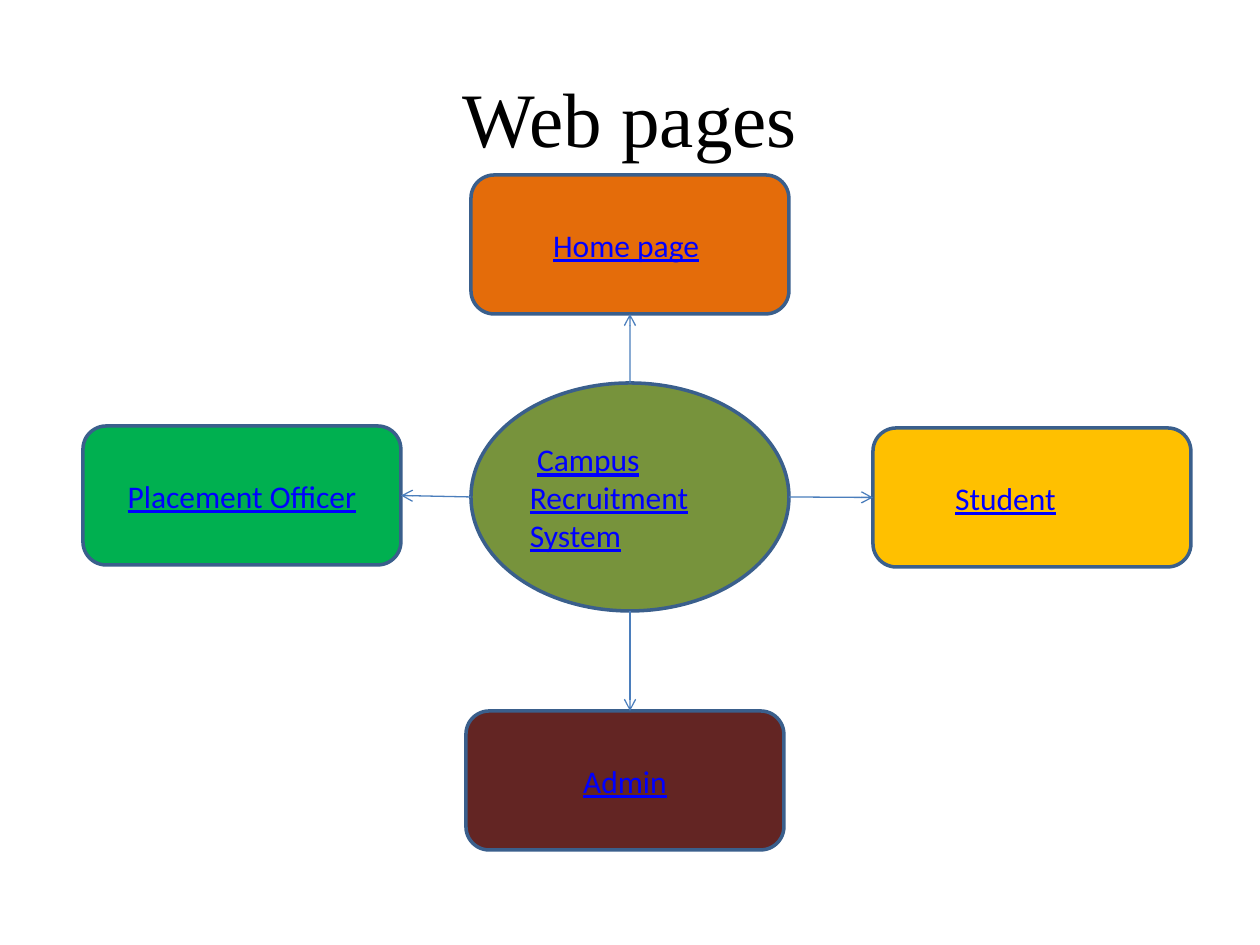
from lxml.etree import SubElement
from pptx import Presentation
from pptx.dml.color import RGBColor
from pptx.enum.shapes import MSO_CONNECTOR, MSO_SHAPE
from pptx.enum.text import MSO_ANCHOR, PP_ALIGN
from pptx.oxml.ns import qn
from pptx.util import Emu, Pt

EMU_PER_PX = 914400 / 126
BOX_WIDTH, BOX_HEIGHT = 318, 139
TOP, LEFT, BOTTOM = 0, 1, 2
RIGHT = 3


def px(length):
    return Emu(round(length * EMU_PER_PX))


def rgb(color):
    return RGBColor.from_string(color)


class PageMap:
    """Style of the page map and the slide it is drawn on."""
    title_font, node_font = "Times New Roman", "Calibri"
    title_color, link_color, space_color = "000000", "0000FF", "FFFFFF"
    outline, arrow_color = "3A5F8C", "4B7EBC"

    def __init__(self, slide):
        self.slide = slide

    def set_font(self, font, name, size, color):
        font.name, font.size = name, Pt(size)
        font.color.rgb = rgb(color)

    def title(self, text, left, top, width, height):
        title = self.slide.shapes.title
        title.left, title.top = px(left), px(top)
        title.width, title.height = px(width), px(height)
        title.text_frame.text = text
        title.text_frame.vertical_anchor = MSO_ANCHOR.MIDDLE
        heading = title.text_frame.paragraphs[0]
        heading.alignment = PP_ALIGN.CENTER
        self.set_font(heading.font, self.title_font, 44, self.title_color)

    def node(self, kind, label, fill, left, top, width, height, align, level=0):
        """Add a filled shape with a link-styled label; a leading space stays plain."""
        node = self.slide.shapes.add_shape(
            kind, px(left), px(top), px(width), px(height))
        node.shadow.inherit = False
        node.fill.solid()
        node.fill.fore_color.rgb = rgb(fill)
        node.line.color.rgb = rgb(self.outline)
        node.line.width = Pt(2)
        node.text_frame.word_wrap = True
        node.text_frame.vertical_anchor = MSO_ANCHOR.MIDDLE
        paragraph = node.text_frame.paragraphs[0]
        paragraph.alignment, paragraph.level = align, level
        self.set_font(paragraph.font, self.node_font, 18, self.link_color)
        paragraph.font.underline = True
        if label.startswith(" "):
            space = paragraph.add_run()
            space.text = " "
            space.font.underline = False
            space.font.color.rgb = rgb(self.space_color)
        link = paragraph.add_run()
        link.text = label.lstrip()
        link.font.underline = True
        link.font.color.rgb = rgb(self.link_color)
        return node

    def box(self, label, fill, left, top, align=PP_ALIGN.CENTER, level=0):
        return self.node(MSO_SHAPE.ROUNDED_RECTANGLE, label, fill, left, top,
                         BOX_WIDTH, BOX_HEIGHT, align, level)

    def arrow(self, start, end, target=None, side=TOP):
        """Draw an arrow, joined to the middle of a side when a target is given."""
        arrow = self.slide.shapes.add_connector(
            MSO_CONNECTOR.STRAIGHT, *map(px, start + end))
        if target is not None:
            arrow.end_connect(target, side)
        arrow.line.color.rgb = rgb(self.arrow_color)
        arrow.line.width = Pt(0.75)
        SubElement(arrow.line._get_or_add_ln(), qn("a:tailEnd"), type="arrow")
        SubElement(arrow._element.spPr, qn("a:effectLst"))


def main():
    deck = Presentation()
    deck.slide_width, deck.slide_height = px(1260), px(945)
    page_map = PageMap(deck.slides.add_slide(deck.slide_layouts[5]))

    page_map.title("Web pages", 63, 38, 1134, 158)
    page_map.node(MSO_SHAPE.OVAL, " Campus Recruitment System", "77933C",
                  471, 383, BOX_WIDTH, 228, PP_ALIGN.LEFT)
    home = page_map.box("Home page", "E46C0A", 471, 175, PP_ALIGN.LEFT, 1)
    officer = page_map.box("Placement Officer", "00B050", 83, 426)
    page_map.box("Admin", "632523", 466, 711)
    student = page_map.box("Student", "FFC000", 873, 428, PP_ALIGN.LEFT, 1)

    page_map.arrow((630, 383), (630, 314), home, BOTTOM)
    page_map.arrow((789, 497), (873, 497), student, LEFT)
    page_map.arrow((630, 611), (630, 711))
    page_map.arrow((471, 497), (401, 495), officer, RIGHT)

    deck.save("out.pptx")


if __name__ == "__main__":
    main()
